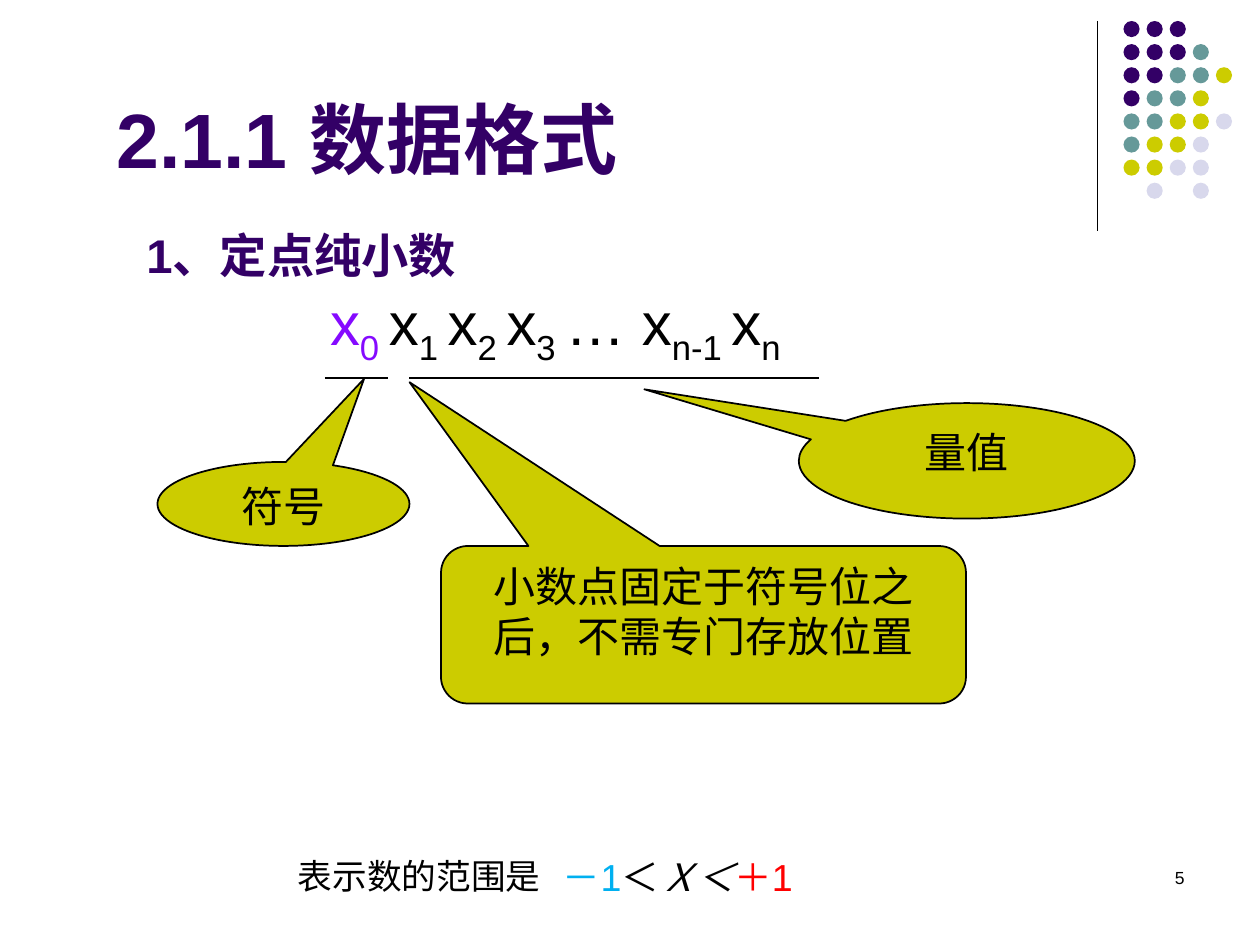
from lxml import etree
from pptx import Presentation
from pptx.dml.color import RGBColor
from pptx.enum.shapes import MSO_CONNECTOR, MSO_SHAPE
from pptx.enum.text import MSO_ANCHOR, PP_ALIGN
from pptx.oxml.ns import qn
from pptx.util import Pt

LEFT, CENTER, RIGHT = PP_ALIGN.LEFT, PP_ALIGN.CENTER, PP_ALIGN.RIGHT
TOP, BOTTOM = MSO_ANCHOR.TOP, MSO_ANCHOR.BOTTOM
STRAIGHT = MSO_CONNECTOR.STRAIGHT
OVAL = MSO_SHAPE.OVAL
OVAL_CALLOUT = MSO_SHAPE.OVAL_CALLOUT
ROUND_CALLOUT = MSO_SHAPE.ROUNDED_RECTANGULAR_CALLOUT

COLORS = {
    "black": "000000",
    "purple": "330066",
    "teal": "669999",
    "olive": "CCCC00",
    "lavender": "D8D8EC",
    "violet": "850AFF",
    "blue": "00B0F0",
    "red": "FF0000",
}


def rgb(name):
    return RGBColor.from_string(COLORS[name])


def write(frame, runs, size, font, color="black", bold=False, align=LEFT, anchor=TOP):
    frame.word_wrap = True
    frame.vertical_anchor = anchor
    paragraph = frame.paragraphs[0]
    paragraph.alignment = align
    paragraph._p.get_or_add_pPr().set("hangingPunct", "0")
    paragraph.font.size = Pt(size)
    paragraph.font.name = font
    paragraph.font.bold = bold
    paragraph.font.color.rgb = rgb(color)
    for text, overrides in runs:
        run = paragraph.add_run()
        run.text = text
        if "color" in overrides:
            run.font.color.rgb = rgb(overrides["color"])
        if "size" in overrides:
            run.font.size = Pt(overrides["size"])
        if "italic" in overrides:
            run.font.italic = True
        if "sub" in overrides:
            run._r.get_or_add_rPr().set("baseline", "-25000")
    return paragraph


prs = Presentation()
prs.slide_width, prs.slide_height = Pt(720), Pt(540)
slide = prs.slides.add_slide(prs.slide_layouts[6])
shapes = slide.shapes

for x1, y1, x2, y2, weight in [
    (627, 12, 627, 132, 0.75),
    (185.7, 216, 222, 216, 1),
    (233.8, 216, 468.2, 216, 1),
]:
    rule = shapes.add_connector(STRAIGHT, Pt(x1), Pt(y1), Pt(x2), Pt(y2))
    rule.line.color.rgb = rgb("black")
    rule.line.width = Pt(weight)
    etree.SubElement(rule._element.spPr, qn("a:effectLst"))

DOT_ROWS = ["PPP", "PPPT", "PPTTY", "PTTY", "TTYYL", "TYYL", "YYLL", " L L"]
DOT_COLORS = {"P": "purple", "T": "teal", "Y": "olive", "L": "lavender"}
dots = shapes.add_group_shape()
for row, codes in enumerate(DOT_ROWS):
    for column, code in enumerate(codes):
        if code == " ":
            continue
        dot = dots.shapes.add_shape(
            OVAL, Pt(642 + 13.2 * column), Pt(12 + 13.2 * row), Pt(9.2), Pt(9.2)
        )
        dot.shadow.inherit = False
        dot.fill.solid()
        dot.fill.fore_color.rgb = rgb(DOT_COLORS[code])
        dot.line.fill.background()

for left, top, width, height, text, size, color, bold, align, anchor in [
    (59.6, 49, 410, 60, "2.1.1 数据格式", 44, "purple", True, LEFT, TOP),
    (76.5, 117, 278, 48, "1、定点纯小数", 27, "purple", True, LEFT, BOTTOM),
    (516, 492, 168, 36, "5", 10, "black", False, RIGHT, TOP),
]:
    label = shapes.add_textbox(Pt(left), Pt(top), Pt(width), Pt(height))
    write(label.text_frame, [(text, {})], size, "Arial", color, bold, align, anchor)

formula_runs = [("x", {"color": "violet"}), ("0 ", {"color": "violet", "sub": True})]
for base, index in [("x", "1 "), ("x", "2 "), ("x", "3 "), ("… x", "n-1 "), ("x", "n")]:
    formula_runs += [(base, {}), (index, {"sub": True})]

range_runs = [("表示数的范围是\t", {"sub": True})]
for text, style in [
    ("－1", {"color": "blue"}),
    ("＜", {}),
    ("Ｘ＜", {"italic": True}),
    ("＋1", {"color": "red"}),
]:
    range_runs.append((text, {"size": 37, "sub": True, **style}))

for left, top, width, height, runs in [
    (188.6, 163, 300, 46, formula_runs),
    (170.2, 463, 345, 40, range_runs),
]:
    expression = shapes.add_textbox(Pt(left), Pt(top), Pt(width), Pt(height)).text_frame
    expression.margin_left = expression.margin_right = 0
    expression.margin_top = expression.margin_bottom = 0
    line = write(expression, runs, 34.2, "Arial")
    if runs is range_runs:
        tabs = etree.Element(qn("a:tabLst"))
        etree.SubElement(tabs, qn("a:tab"), pos=str(Pt(151.5)), algn="l")
        line._p.get_or_add_pPr().insert(0, tabs)

for kind, left, top, width, height, adjustments, text in [
    (OVAL_CALLOUT, 90, 264, 144, 48, (0.32, -1.49), "符号"),
    (OVAL_CALLOUT, 456.5, 230.4, 192, 66, (-0.96, -0.62), "量值"),
    (ROUND_CALLOUT, 252, 312, 300, 90, (-0.56, -1.54, 0.17),
     "小数点固定于符号位之后，不需专门存放位置"),
]:
    callout = shapes.add_shape(kind, Pt(left), Pt(top), Pt(width), Pt(height))
    callout.shadow.inherit = False
    for position, value in enumerate(adjustments):
        callout.adjustments[position] = value
    callout.fill.solid()
    callout.fill.fore_color.rgb = rgb("olive")
    callout.line.color.rgb = rgb("black")
    callout.line.width = Pt(1)
    write(callout.text_frame, [(text, {})], 24, "Times New Roman", align=CENTER)

prs.save("out.pptx")
